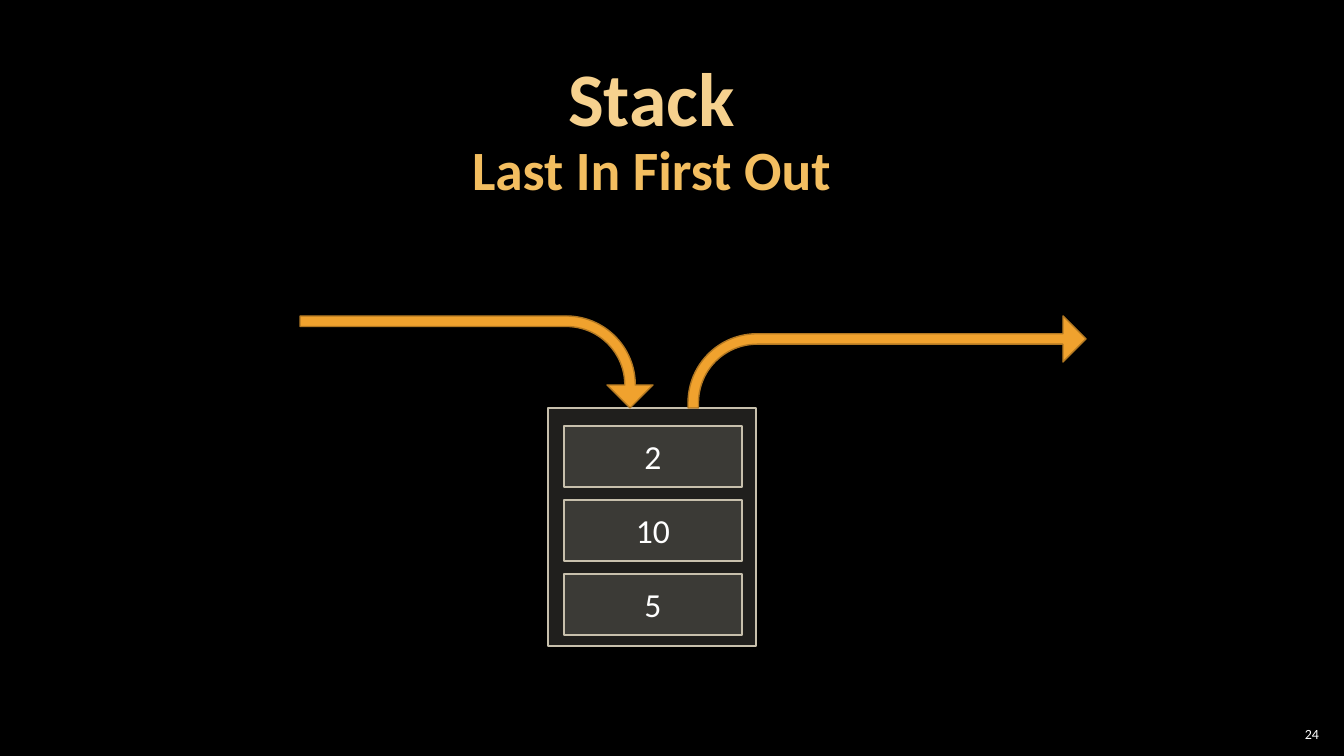
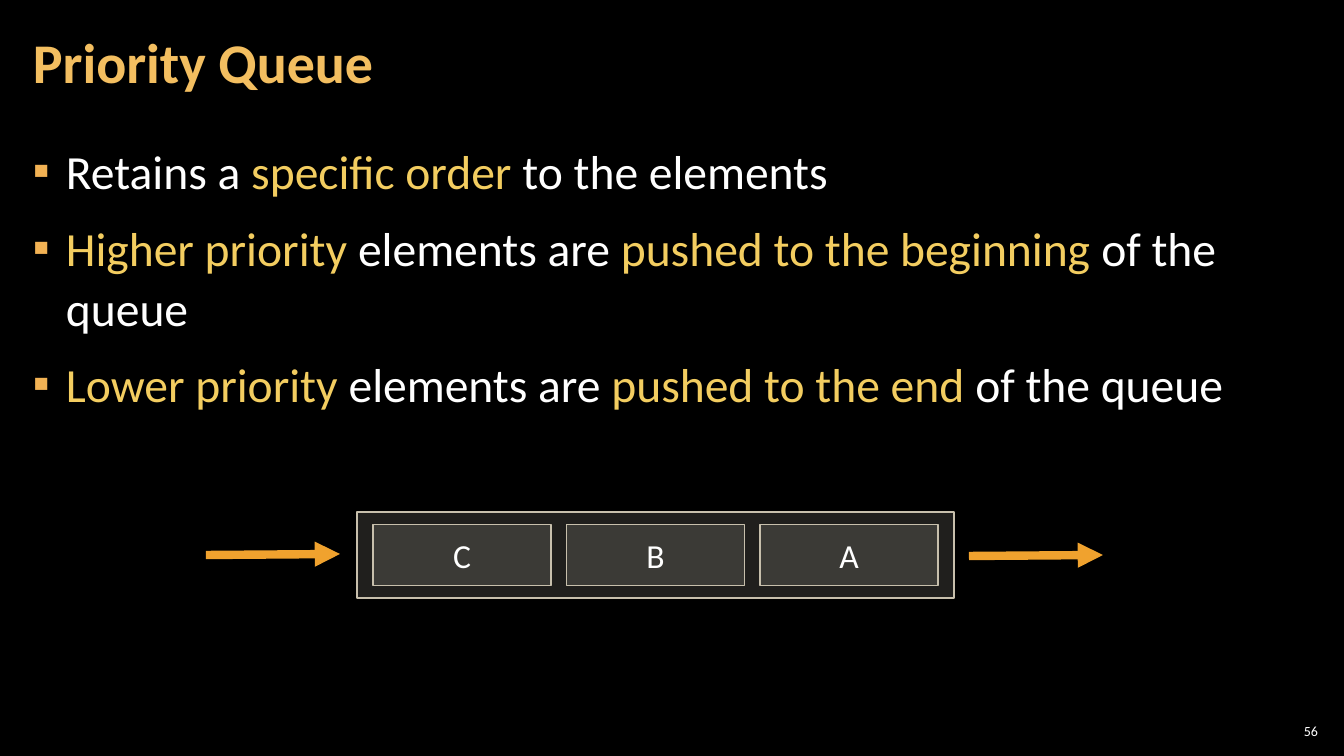
from lxml import etree
from pptx import Presentation
from pptx.dml.color import RGBColor
from pptx.enum.shapes import MSO_CONNECTOR, MSO_SHAPE
from pptx.enum.text import MSO_ANCHOR as ANCHOR, PP_ALIGN as ALIGN
from pptx.oxml.ns import qn
from pptx.util import Emu, Pt

W, H = 1344, 756
SCALE = 12192000 / W
FONT = "Calibri"
C = {
    "bg": "000000", "text": "FFFFFF", "title": "F3BE60", "title_light": "F6D18E",
    "accent": "F3CD60", "bullet": "F2B254", "box": "D9D5C7", "box_line": "C7BFAC",
    "arrow": "F0A22E", "arrow_line": "B27822",
}
CELL_W, CELL_H = 178, 61


def px(v):
    return Emu(round(v * SCALE))


def rgb(name):
    return RGBColor.from_string(C[name])


def set_attrs(obj, **values):
    for name, value in values.items():
        setattr(obj, name, value)


def sub(parent, tag, **attrs):
    return etree.SubElement(parent, qn(tag), attrs)


# Text
def add_run(p, text, size, color="text", bold=False):
    r = p.add_run()
    r.text = text
    set_attrs(r.font, name=FONT, size=Pt(size), bold=bold)
    r.font.color.rgb = rgb(color)


def setup_frame(tf, inset_x, inset_y, anchor):
    set_attrs(tf, word_wrap=True, vertical_anchor=anchor,
              margin_left=px(inset_x), margin_right=px(inset_x),
              margin_top=px(inset_y), margin_bottom=px(inset_y))
    return tf


def add_text(s, box, inset_x=12, anchor=ANCHOR.MIDDLE):
    sp = s.shapes.add_textbox(*map(px, box))
    return setup_frame(sp.text_frame, inset_x, 4, anchor)


def add_title(s, box, lines, align):
    p = add_text(s, box).paragraphs[0]
    set_attrs(p, alignment=align, line_spacing=0.9)
    for i, (text, size, color) in enumerate(lines):
        if i:
            p.add_line_break()
        add_run(p, text, size, color, bold=True)


def add_bullets(s, box, items):
    tf = add_text(s, box, anchor=ANCHOR.TOP)
    for i, parts in enumerate(items):
        p = tf.add_paragraph() if i else tf.paragraphs[0]
        pPr = p._p.get_or_add_pPr()
        pPr.set("marL", str(px(33)))
        pPr.set("indent", str(px(-33)))
        sub(sub(pPr, "a:buClr"), "a:srgbClr", val=C["bullet"])
        sub(pPr, "a:buFont", typeface=FONT)
        sub(pPr, "a:buChar", char="▪")
        set_attrs(p, line_spacing=1.05, space_before=Pt(6 if i else 0), space_after=Pt(6))
        for text, color in parts:
            add_run(p, text, 34, color)


# Shapes
def add_shape(s, kind, box, fill, line):
    sp = s.shapes.add_shape(kind, *map(px, box))
    sp.shadow.inherit = False
    sp.fill.solid()
    sp.fill.fore_color.rgb = rgb(fill)
    sp.line.color.rgb = rgb(line)
    sp.line.width = Pt(1)
    return sp


def add_glass_box(s, box, text=None):
    sp = add_shape(s, MSO_SHAPE.RECTANGLE, box, "box", "box_line")
    color = sp._element.spPr.find(qn("a:solidFill"))[0]
    sub(color, "a:alpha", val="15000")
    if text:
        p = setup_frame(sp.text_frame, 20, 10, ANCHOR.MIDDLE).paragraphs[0]
        p.alignment = ALIGN.CENTER
        add_run(p, text, 24)


def add_bent_arrow(s, box, rotation=0):
    sp = add_shape(s, MSO_SHAPE.BENT_ARROW, box, "arrow", "arrow_line")
    sp.rotation = rotation
    for i, value in enumerate((0.114, 0.25, 0.25, 0.75)):
        sp.adjustments[i] = value


def add_arrow(s, x, y, length):
    cn = s.shapes.add_connector(MSO_CONNECTOR.STRAIGHT, px(x), px(y), px(x + length), px(y - 1))
    cn.line.color.rgb = rgb("arrow")
    cn.line.width = Pt(6)
    sub(cn.line._get_or_add_ln(), "a:tailEnd", type="triangle")
    sub(cn._element.spPr, "a:effectLst")


# Diagrams
def stack_diagram(s, box, values):
    x, y, w, h = box
    add_glass_box(s, box)
    for i, value in enumerate(values):
        add_glass_box(s, (x + 16, y + 18 + i * (CELL_H + 13), CELL_W, CELL_H), value)
    # The arrow in is turned a quarter, so its box is laid out around its centre
    reach, rise = 353, 92
    cx, cy = x - 248 + reach / 2, y - rise / 2
    add_bent_arrow(s, (cx - rise / 2, cy - reach / 2, rise, reach), rotation=90)
    add_bent_arrow(s, (x + 140, y - rise, 398, rise))


def queue_diagram(s, box, values):
    x, y, w, h = box
    pad = 16
    pitch = (w - 2 * pad - CELL_W) / (len(values) - 1)
    add_glass_box(s, box)
    for i, value in enumerate(values):
        add_glass_box(s, (x + pad + i * pitch, y + (h - CELL_H) / 2, CELL_W, CELL_H), value)
    length, mid = 134, y + h / 2
    add_arrow(s, x - 17 - length, mid, length)
    add_arrow(s, x + w + 15, mid + 1, length)


# Slides
def new_slide(prs, number, x, y):
    s = prs.slides.add_slide(prs.slide_layouts[6])
    s.background.fill.solid()
    s.background.fill.fore_color.rgb = rgb("bg")
    p = add_text(s, (x, y, 47, 21), inset_x=4).paragraphs[0]
    p.alignment = ALIGN.RIGHT
    add_run(p, number, 10)
    return s


def stack_slide(prs):
    s = new_slide(prs, "24", 1276, 723)
    add_title(s, (10, 60, 1283, 144),
              [("Stack", 54, "title_light"), ("Last In First Out", 39.6, "title")], ALIGN.CENTER)
    stack_diagram(s, (548, 408, 208, 238), ["2", "10", "5"])


def queue_slide(prs):
    s = new_slide(prs, "56", 1275, 720)
    add_bullets(s, (21, 135, 1301, 340), [
        [("Retains a ", "text"), ("specific order ", "accent"), ("to the elements", "text")],
        [("Higher priority ", "accent"), ("elements are ", "text"),
         ("pushed to the beginning ", "accent"), ("of the queue", "text")],
        [("Lower priority ", "accent"), ("elements are ", "text"),
         ("pushed to the end ", "accent"), ("of the queue", "text")],
    ])
    add_title(s, (21, 4, 1055, 122), [("Priority Queue", 40, "title")], ALIGN.LEFT)
    queue_diagram(s, (357, 512, 597, 86), ["C", "B", "A"])


def main():
    prs = Presentation()
    set_attrs(prs, slide_width=px(W), slide_height=px(H))
    stack_slide(prs)
    queue_slide(prs)
    prs.save("out.pptx")


if __name__ == "__main__":
    main()
